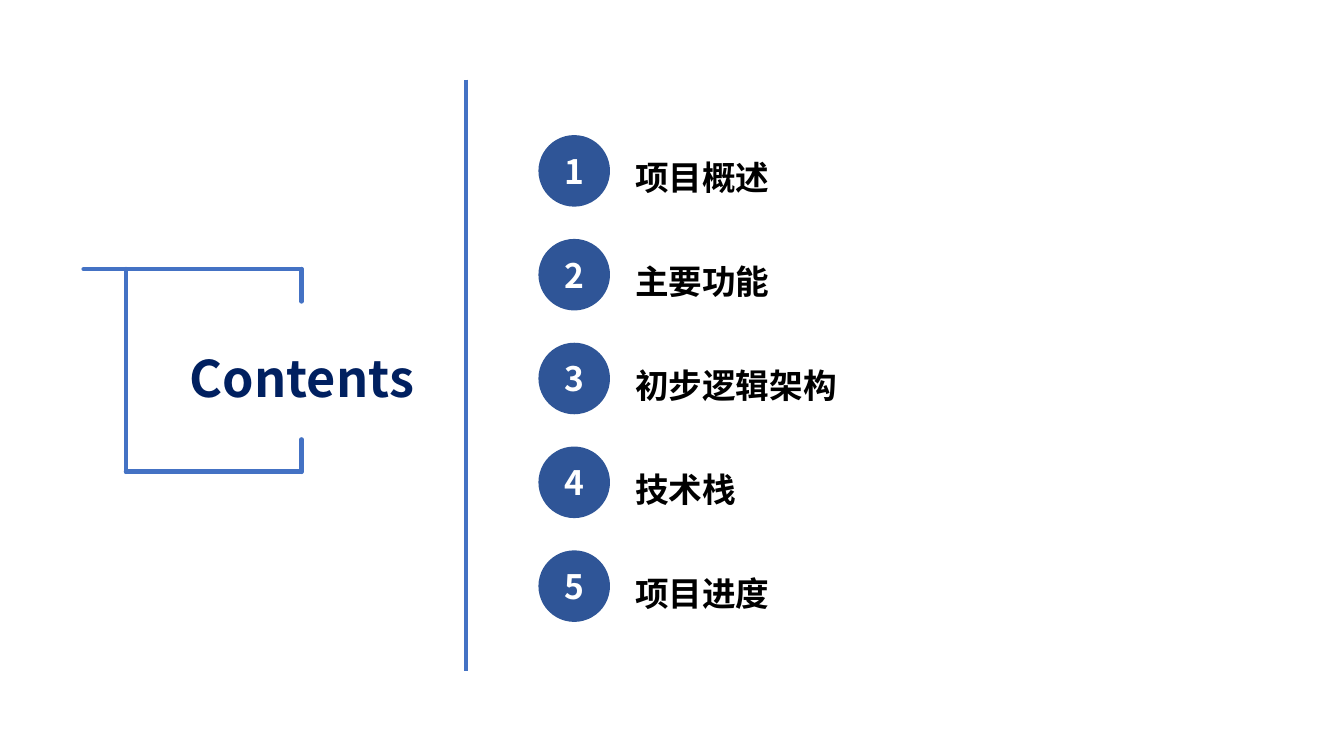
from pptx import Presentation
from pptx.dml.color import RGBColor
from pptx.enum.shapes import MSO_CONNECTOR, MSO_SHAPE
from pptx.enum.text import MSO_ANCHOR, MSO_AUTO_SIZE, PP_ALIGN
from pptx.oxml.ns import qn
from pptx.util import Inches, Pt
from lxml.etree import SubElement

TITLE = "Contents"
ITEMS = ["项目概述", "主要功能", "初步逻辑架构", "技术栈", "项目进度"]

THEME = {
    "font": "Noto Sans CJK SC",
    "badge": RGBColor(0x2F, 0x55, 0x97),
    "line": RGBColor(0x44, 0x72, 0xC4),
    "title": RGBColor(0x00, 0x20, 0x60),
    "text": RGBColor(0, 0, 0),
    "on_badge": RGBColor(255, 255, 255),
    "title_size": 36,
    "item_size": 24,
}

FIRST_TOP, PITCH = 1.34, 1.03
BADGE_LEFT, BADGE_SIZE = 5.34, 0.71
LABEL_LEFT, LABEL_DROP = 6.2, 0.07

DIVIDER = (4.62, 0.79, 4.62, 6.66)
LEFT, RIGHT, TOP, BOTTOM = 1.25, 2.99, 2.67, 4.68
TAIL, HOOK = 0.42, 0.32
BRACKET = [
    (LEFT - TAIL, TOP, RIGHT, TOP),
    (LEFT, BOTTOM, RIGHT, BOTTOM),
    (LEFT, TOP, LEFT, BOTTOM),
    (RIGHT, TOP, RIGHT, TOP + HOOK),
    (RIGHT, BOTTOM - HOOK, RIGHT, BOTTOM),
]


def write(tf, text, size, color, align=PP_ALIGN.LEFT, spacing=None):
    tf.word_wrap = True
    p = tf.paragraphs[0]
    p.text = text
    p.alignment = align
    p.line_spacing = spacing
    p.font.size = Pt(size)
    p.font.bold = True
    p.font.color.rgb = color
    p.font.name = THEME["font"]
    # East Asian glyphs take their own typeface
    defaults = p._p.pPr.find(qn("a:defRPr"))
    SubElement(defaults, qn("a:ea"), typeface=THEME["font"])


def add_line(shapes, ends, width, cap="flat"):
    line = shapes.add_connector(MSO_CONNECTOR.STRAIGHT, *map(Inches, ends))
    line.line.color.rgb = THEME["line"]
    line.line.width = Pt(width)
    line.get_or_add_ln().set("cap", cap)
    SubElement(line._element.spPr, qn("a:effectLst"))


def add_item(s, number, label):
    top = FIRST_TOP + (number - 1) * PITCH
    badge = s.shapes.add_shape(MSO_SHAPE.OVAL, Inches(BADGE_LEFT), Inches(top),
                               Inches(BADGE_SIZE), Inches(BADGE_SIZE))
    badge.shadow.inherit = False
    badge.fill.solid()
    badge.fill.fore_color.rgb = THEME["badge"]
    badge.line.fill.background()
    badge.text_frame.vertical_anchor = MSO_ANCHOR.MIDDLE
    write(badge.text_frame, str(number), THEME["item_size"],
          THEME["on_badge"], PP_ALIGN.CENTER)

    box = s.shapes.add_textbox(Inches(LABEL_LEFT), Inches(top + LABEL_DROP),
                               Inches(5.95), Inches(0.6))
    write(box.text_frame, label, THEME["item_size"], THEME["text"], spacing=1.25)
    box.text_frame.auto_size = MSO_AUTO_SIZE.SHAPE_TO_FIT_TEXT


def main():
    prs = Presentation()
    prs.slide_width, prs.slide_height = Inches(13.33), Inches(7.5)
    s = prs.slides.add_slide(prs.slide_layouts[6])

    for number, label in enumerate(ITEMS, 1):
        add_item(s, number, label)

    title = s.shapes.add_textbox(Inches(1.58), Inches(3.24), Inches(2.83), Inches(0.88))
    write(title.text_frame, TITLE, THEME["title_size"], THEME["title"],
          PP_ALIGN.CENTER, 1.25)

    add_line(s.shapes, DIVIDER, 3)
    bracket = s.shapes.add_group_shape()
    for ends in BRACKET:
        add_line(bracket.shapes, ends, 3.25, "rnd")

    prs.save("out.pptx")


if __name__ == "__main__":
    main()
